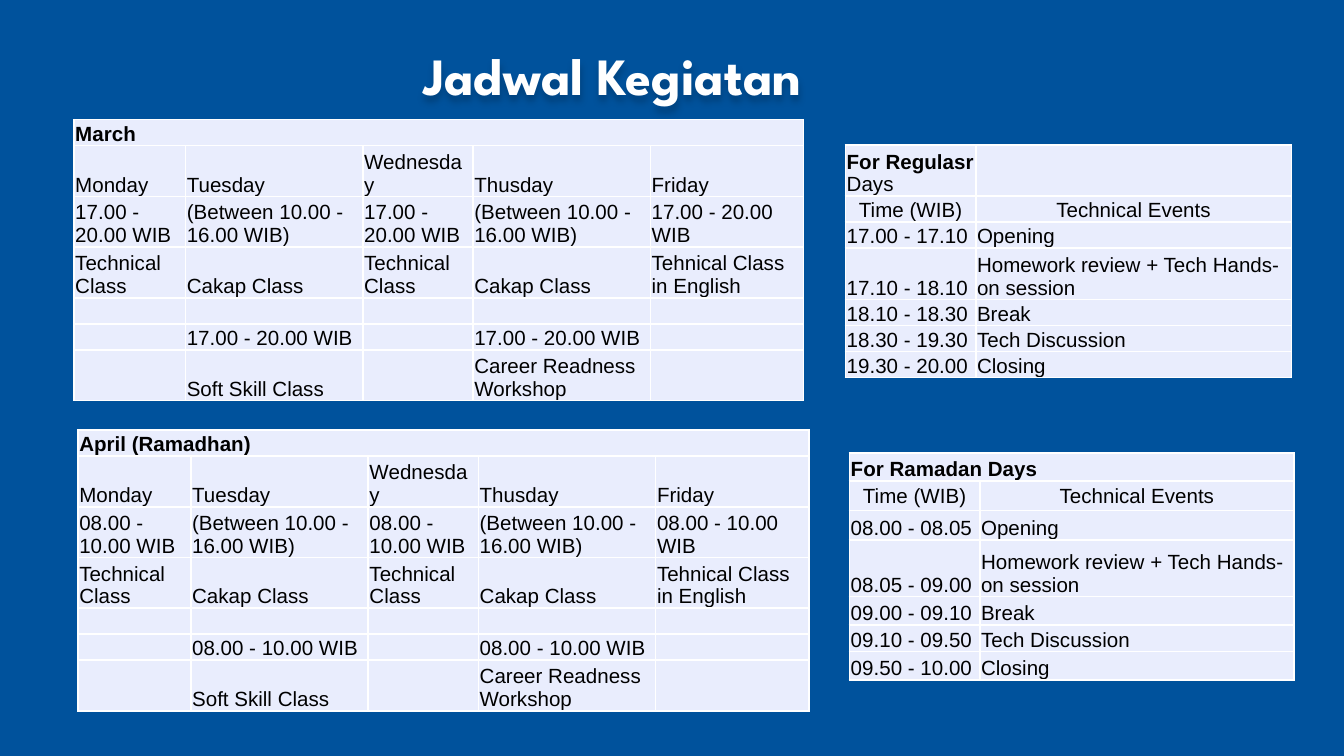
from lxml.etree import SubElement
from pptx import Presentation
from pptx.dml.color import RGBColor
from pptx.enum.text import MSO_ANCHOR as Anchor, MSO_AUTO_SIZE as AutoSize, PP_ALIGN as Align
from pptx.oxml import parse_xml
from pptx.oxml.ns import nsdecls, qn
from pptx.util import Inches, Pt


def color(hex_value):
    return RGBColor.from_string(hex_value)


def add_run(paragraph, text, size, family, hex_value, bold):
    run = paragraph.add_run()
    run.text = text
    style = {"size": Pt(size), "name": family, "bold": bold}
    for key, value in style.items():
        setattr(run.font, key, value)
    run.font.color.rgb = color(hex_value)


prs = Presentation()
prs.slide_width = Inches(10)
prs.slide_height = Inches(10 * 9 / 16)
slide = prs.slides.add_slide(prs.slide_layouts[6])
slide.background.fill.solid()
slide.background.fill.fore_color.rgb = color("00529C")

heading = slide.shapes.add_textbox(Inches(3.05), Inches(0.22), Inches(7.19), Inches(0.67))
heading_format = {"word_wrap": True, "auto_size": AutoSize.SHAPE_TO_FIT_TEXT}
for side in ("left", "right", "top", "bottom"):
    heading_format["margin_" + side] = Inches(0.1)
for key, value in heading_format.items():
    setattr(heading.text_frame, key, value)
add_run(heading.text_frame.paragraphs[0], "Jadwal Kegiatan", 28, "League Spartan", "FFFFFF", True)
heading.element.spPr.append(parse_xml(
    f'<a:effectLst {nsdecls("a")}><a:outerShdw blurRad="50800" dist="38100" dir="5400000">'
    '<a:srgbClr val="000000"><a:alpha val="20000"/></a:srgbClr></a:outerShdw></a:effectLst>'))

weekdays = ["Monday", "Tuesday", "Wednesday", "Thusday", "Friday"]
between = "(Between 10.00 - 16.00 WIB)"
classes = ["Technical Class", "Cakap Class", "Technical Class", "Cakap Class",
           "Tehnical Class in English"]
workshops = ["", "Soft Skill Class", "", "Career Readness Workshop", ""]
events = ["Opening", "Homework review + Tech Hands-on session", "Break", "Tech Discussion", "Closing"]
week_heights = [0.19, 0.37, 0.37, 0.37, 0.19, 0.19, 0.37]

schedules = []
for title, times, left, top, event_width, heights in (
    ("For Regulasr Days",
     ["17.00 - 17.10", "17.10 - 18.10", "18.10 - 18.30", "18.30 - 19.30", "19.30 - 20.00"],
     6.29, 1.08, 2.35, [0.38, 0.19, 0.19, 0.38, 0.19, 0.19, 0.19]),
    ("For Ramadan Days",
     ["08.00 - 08.05", "08.05 - 09.00", "09.00 - 09.10", "09.10 - 09.50", "09.50 - 10.00"],
     6.32, 3.37, 2.34, [0.21, 0.22, 0.22, 0.42, 0.21, 0.2, 0.21]),
):
    rows = [[title, ""], ["Time (WIB)", "Technical Events"], *map(list, zip(times, events))]
    schedules.append((rows, left, top, [0.97, event_width], heights))

for title, hours, left, top, monday_width in (
    ("April (Ramadhan)", "08.00 - 10.00 WIB", 0.58, 3.2, 0.84),
    ("March", "17.00 - 20.00 WIB", 0.55, 0.89, 0.83),
):
    rows = [[title] + [""] * 4, weekdays, [hours, between, hours, between, hours], classes,
            [""] * 5, ["", hours, "", hours, ""], workshops]
    schedules.append((rows, left, top, [monday_width, 1.32, 0.82, 1.32, 1.14], week_heights))

cell_format = {"margin_left": Inches(0.01), "margin_right": Inches(0.01),
               "margin_top": Inches(0.01), "margin_bottom": 0}

for rows, left, top, widths, heights in schedules:
    table = slide.shapes.add_table(len(rows), len(widths), Inches(left), Inches(top),
                                   Inches(sum(widths)), Inches(sum(heights))).table
    for column, width in zip(table.columns, widths):
        column.width = Inches(width)
    for row, height in zip(table.rows, heights):
        row.height = Inches(height)
    if rows[0][0] != "For Regulasr Days":
        table.cell(0, 0).merge(table.cell(0, len(widths) - 1))

    for r, texts in enumerate(rows):
        for c, text in enumerate(texts):
            cell = table.cell(r, c)
            centered = len(widths) == 2 and r == 1
            for key, value in cell_format.items():
                setattr(cell, key, value)
            cell.vertical_anchor = Anchor.MIDDLE if centered else Anchor.BOTTOM
            cell.fill.solid()
            cell.fill.fore_color.rgb = color("E9EDFD")
            for position, edge in enumerate(("lnL", "lnR", "lnT", "lnB")):
                cell._tc.tcPr.insert(position, parse_xml(
                    f'<a:{edge} {nsdecls("a")} w="12700"><a:solidFill>'
                    f'<a:srgbClr val="FFFFFF"/></a:solidFill></a:{edge}>'))
            paragraph = cell.text_frame.paragraphs[0]
            paragraph.alignment = Align.CENTER if centered else Align.LEFT
            if text == "For Regulasr Days":
                parts = [("For Regulasr ", True), ("Days", False)]
            else:
                parts = [(text, r == 0)] if text else []
            for part, bold in parts:
                add_run(paragraph, part, 11, "Arial", "000000", bold)
            if not parts:
                SubElement(paragraph._p, qn("a:endParaRPr"), sz="1100")

prs.save("out.pptx")
